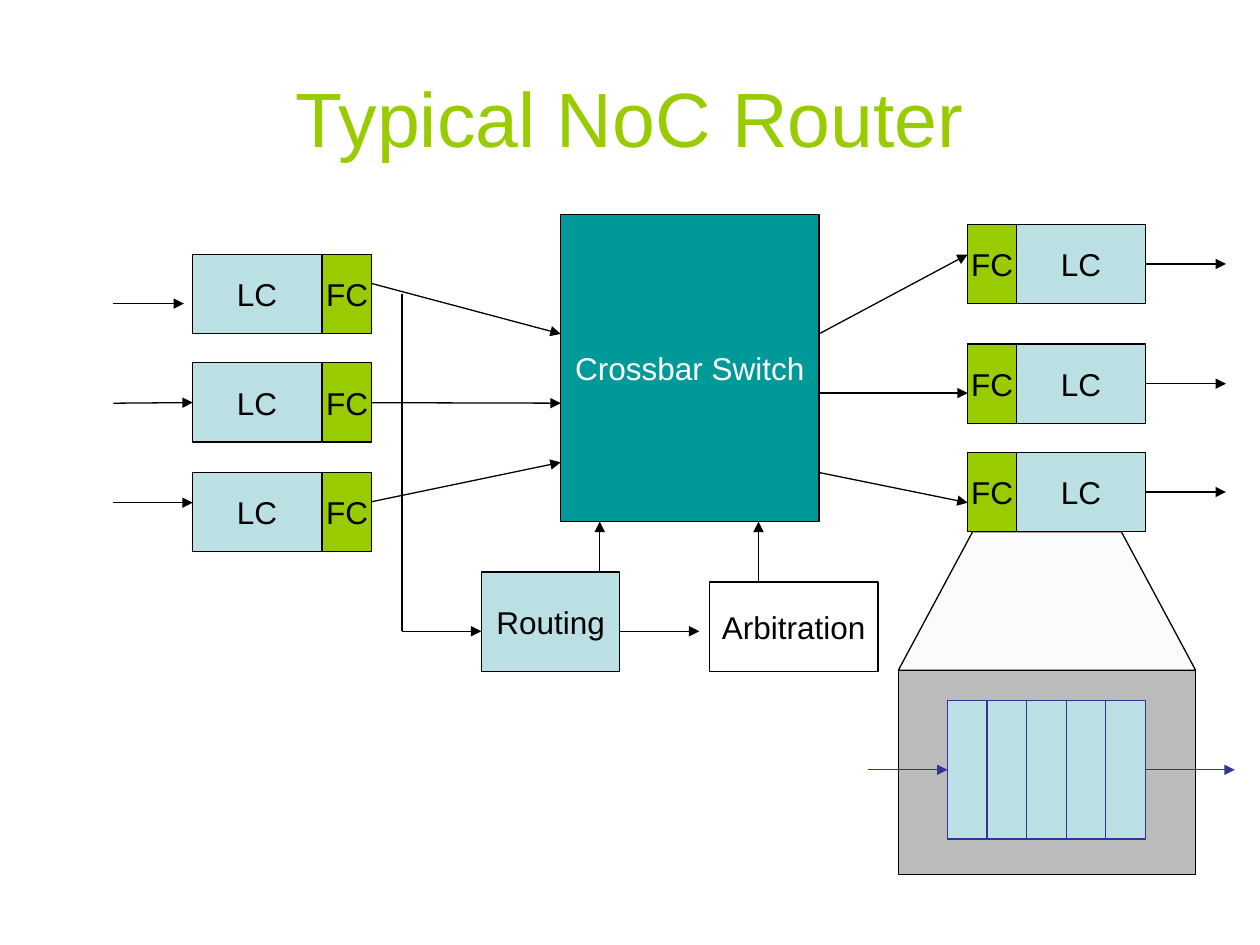
from lxml import etree
from pptx import Presentation
from pptx.dml.color import RGBColor
from pptx.enum.shapes import MSO_CONNECTOR, MSO_SHAPE
from pptx.enum.text import MSO_ANCHOR, PP_ALIGN
from pptx.oxml.ns import qn
from pptx.util import Inches, Pt

RECT = MSO_SHAPE.RECTANGLE
STRAIGHT = MSO_CONNECTOR.STRAIGHT
MIDDLE, CENTER = MSO_ANCHOR.MIDDLE, PP_ALIGN.CENTER
LEFT, RIGHT = 1, 3  # connection sites of a rectangle

COLORS = {
    "black": "000000", "white": "FFFFFF", "green": "99CC00",
    "teal": "009999", "pale": "BBE0E3", "gray": "B2B2B2",
    "navy": "333399", "lilac": "DFDEF6",
}


class Diagram:
    """Draws styled elements on the current slide."""

    font = "Arial"
    line_width = 0.75

    def __init__(self, slide):
        self.slide = slide

    def color(self, name):
        return RGBColor.from_string(COLORS[name])

    def paint(self, sp, fill, line, alpha=None):
        sp.shadow.inherit = False
        sp.fill.solid()
        sp.fill.fore_color.rgb = self.color(fill)
        sp.line.color.rgb = self.color(line)
        sp.line.width = Pt(self.line_width)
        if alpha is not None:
            clr = sp._element.spPr.find(qn("a:solidFill") + "/" + qn("a:srgbClr"))
            etree.SubElement(clr, qn("a:alpha")).set("val", str(alpha * 1000))

    def label(self, sp, text, size, color, wrap):
        tf = sp.text_frame
        frame = {"word_wrap": wrap, "vertical_anchor": MIDDLE}
        for name, value in frame.items():
            setattr(tf, name, value)
        p = tf.paragraphs[0]
        p.alignment = CENTER
        r = p.add_run()
        r.text = text
        for name, value in {"name": self.font, "size": Pt(size)}.items():
            setattr(r.font, name, value)
        r.font.color.rgb = self.color(color)

    def title(self, text, x, y, w, h):
        sp = self.slide.shapes.add_textbox(*map(Inches, (x, y, w, h)))
        self.label(sp, text, 44, "green", True)

    def box(self, x, y, w, h, fill, text=None, text_color="black",
            line="black", alpha=None):
        sp = self.slide.shapes.add_shape(RECT, *map(Inches, (x, y, w, h)))
        self.paint(sp, fill, line, alpha)
        if text:
            self.label(sp, text, 18, text_color, False)
        return sp

    def line(self, x1, y1, x2, y2, color="black", arrow=True,
             begin=None, end=None):
        s = self.slide.shapes.add_connector(
            STRAIGHT, *map(Inches, (x1, y1, x2, y2)))
        s.line.color.rgb = self.color(color)
        s.line.width = Pt(self.line_width)
        if arrow:
            ln = s._element.spPr.find(qn("a:ln"))
            etree.SubElement(ln, qn("a:tailEnd")).set("type", "triangle")
        etree.SubElement(s._element.spPr, qn("a:effectLst"))
        if begin:
            s.begin_connect(*begin)
        if end:
            s.end_connect(*end)

    def polygon(self, points, fill, alpha):
        pts = [(Inches(x), Inches(y)) for x, y in points]
        builder = self.slide.shapes.build_freeform(*pts[0])
        builder.add_line_segments(pts[1:], close=True)
        self.paint(builder.convert_to_shape(), fill, "black", alpha)


def main():
    prs = Presentation()
    prs.slide_width, prs.slide_height = Inches(10), Inches(7.5)
    d = Diagram(prs.slides.add_slide(prs.slide_layouts[6]))

    d.title("Typical NoC Router", 0.5, 0.3, 9, 1.25)

    # Line controllers and crossbar
    lc_w, fc_w, port_h = 1.02, 0.39, 0.63
    in_x, out_x = 1.53, 7.68
    in_rows, out_rows = (2.02, 2.88, 3.75), (1.78, 2.73, 3.59)
    lc_in = [d.box(in_x, y, lc_w, port_h, "pale", "LC") for y in in_rows]
    lc_out = [d.box(out_x + fc_w, y, lc_w, port_h, "pale", "LC")
              for y in out_rows]
    xbar_l, xbar_r, xbar_bottom = 4.45, 6.5, 4.14
    d.box(xbar_l, 1.7, 2.05, 2.44, "teal", "Crossbar Switch", "white")

    # Arrows into and out of the crossbar
    d.line(2.95, 2.25, xbar_l, 2.65)
    for lc, y, target in ((lc_in[1], 3.2, 3.2), (lc_in[2], 4.06, 3.67)):
        d.line(2.56, y, xbar_l, target, begin=(lc, RIGHT))
    for y, target in ((2.65, 2.02), (3.12, 3.12), (3.75, 3.99)):
        d.line(xbar_r, y, out_x, target)

    # Flow controllers
    for x, rows in ((2.56, in_rows), (out_x, out_rows)):
        for y in rows:
            d.box(x, y, fc_w, port_h, "green", "FC")

    # Input and output links
    d.line(0.9, 2.41, 1.46, 2.41)
    d.line(0.9, 3.2, in_x, 3.2, end=(lc_in[1], LEFT))
    d.line(0.9, 3.99, in_x, 3.99)
    for lc, y in zip(lc_out, out_rows):
        mid = y + port_h / 2
        d.line(9.09, mid, 9.73, mid, begin=(lc, RIGHT))

    # Routing and arbitration
    control_y, tap_x = 5.01, 3.19
    d.box(3.82, 4.54, 1.1, 0.79, "pale", "Routing")
    d.box(5.63, 4.62, 1.34, 0.71, "white", "Arbitration")
    d.line(tap_x, 2.33, tap_x, control_y, arrow=False)
    d.line(tap_x, control_y, 3.82, control_y)
    d.line(4.92, control_y, 5.55, control_y)
    d.line(4.76, 4.54, 4.76, xbar_bottom)
    d.line(6.02, 4.62, 6.02, xbar_bottom)

    # Enlarged line controller with its buffer slots
    d.box(7.13, 5.32, 2.36, 1.62, "gray", alpha=88)
    buf_x, buf_y, buf_w, buf_h, slots = 7.52, 5.56, 1.57, 1.1, 5
    buf = d.box(buf_x, buf_y, buf_w, buf_h, "pale", line="navy")
    for i in range(1, slots):
        x = buf_x + i * buf_w / slots
        d.line(x, buf_y, x, buf_y + buf_h, "navy", arrow=False)
    mid = buf_y + buf_h / 2
    d.line(buf_x + buf_w, mid, 9.8, mid, "navy", begin=(buf, RIGHT))
    d.line(6.89, mid, buf_x, mid, "navy", end=(buf, LEFT))

    # Zoom cone
    d.polygon([(7.13, 5.32), (9.49, 5.32), (8.9, 4.22), (7.72, 4.22)],
              "lilac", 12)

    prs.save("out.pptx")


if __name__ == "__main__":
    main()
